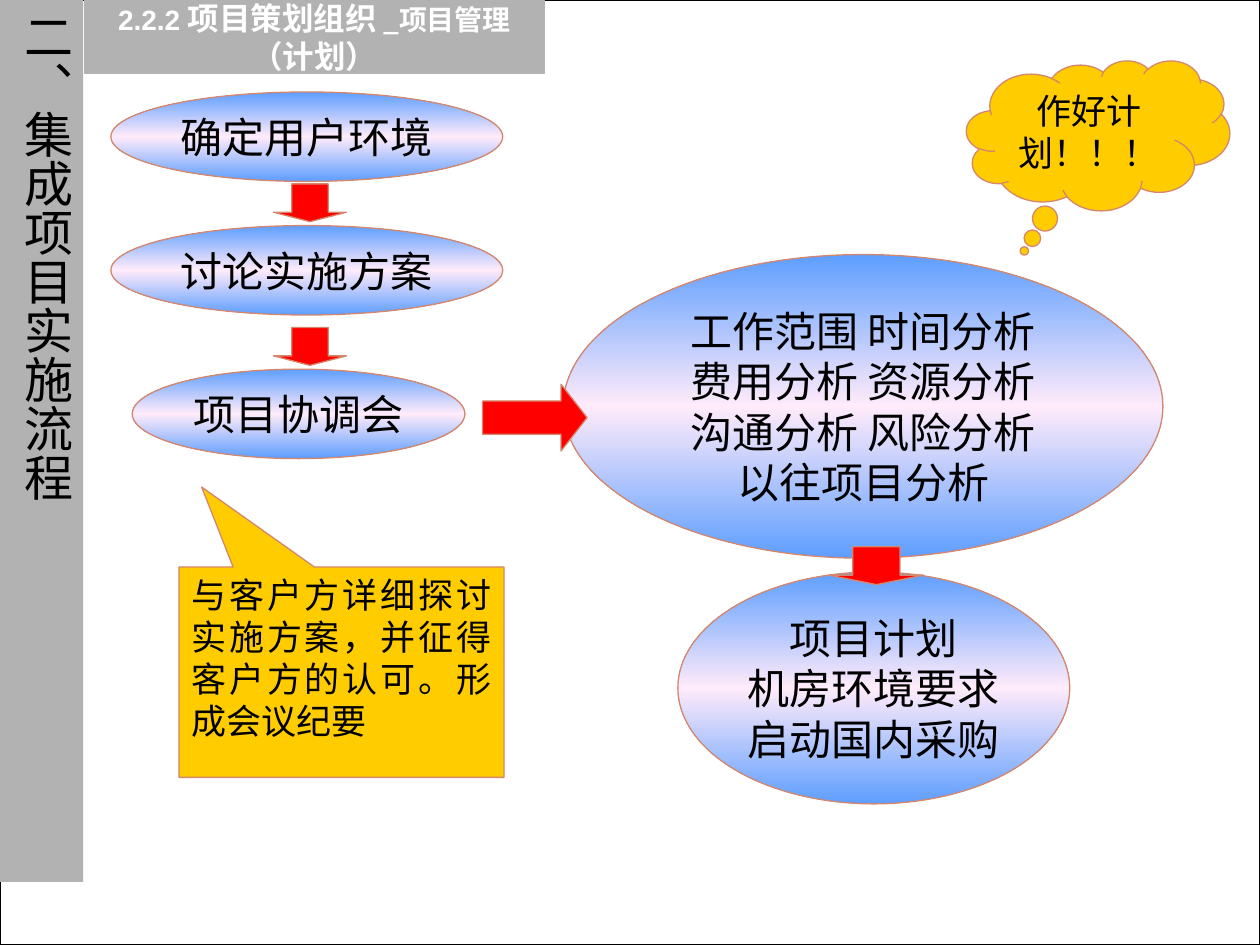
from copy import deepcopy

from pptx import Presentation
from pptx.dml.color import RGBColor
from pptx.enum import shapes, text
from pptx.oxml import ns
from pptx.util import Inches, Pt

WHITE = RGBColor(0xFF, 0xFF, 0xFF)
BLACK = RGBColor(0, 0, 0)
RED = RGBColor(0xFF, 0, 0)
GOLD = RGBColor(0xFF, 0xCC, 0)
GRAY = RGBColor(0xB2, 0xB2, 0xB2)
BLUE = RGBColor(0x5E, 0x9E, 0xFF)
PINK = RGBColor(0xFF, 0xEB, 0xFA)
COPPER = RGBColor(0xD4, 0x87, 0x6C)

SHAPE = shapes.MSO_SHAPE
ALIGN = text.PP_ALIGN
ANCHOR = text.MSO_ANCHOR
CJK = "Noto Sans CJK SC"
NARROW = "Arial Narrow"


def set_attrs(obj, values):
    for name, value in values.items():
        setattr(obj, name, value)


def add_shape(s, kind, box, fill=None, line=COPPER, adj=()):
    sp = s.shapes.add_shape(kind, *map(Inches, box))
    sp.shadow.inherit = False
    for i, value in enumerate(adj):
        sp.adjustments[i] = value
    if fill is not None:
        sp.fill.solid()
        sp.fill.fore_color.rgb = fill
    if line is None:
        sp.line.fill.background()
    else:
        sp.line.color.rgb = line
        sp.line.width = Pt(0.75)
    return sp


def add_run(p, words, size, font, color=BLACK, bold=False):
    r = p.add_run()
    r.text = words
    set_attrs(r.font, {"size": Pt(size), "name": font, "bold": bold})
    r.font.color.rgb = color
    ea = r.font._element.makeelement(ns.qn("a:ea"), {"typeface": CJK})
    r.font._element.find(ns.qn("a:latin")).addnext(ea)


def set_text(sp, lines, align=ALIGN.CENTER, anchor=ANCHOR.MIDDLE,
             wrap=True, inset=(0.1, 0.05)):
    tf = sp.text_frame
    x, y = map(Inches, inset)
    set_attrs(tf, {"word_wrap": wrap, "vertical_anchor": anchor,
                   "margin_left": x, "margin_right": x,
                   "margin_top": y, "margin_bottom": y})
    for i, runs in enumerate(lines):
        p = tf.add_paragraph() if i else tf.paragraphs[0]
        p.alignment = align
        for run in runs:
            add_run(p, *run)


def add_oval(s, box, *lines):
    sp = add_shape(s, SHAPE.OVAL, box)
    sp.fill.gradient()
    sp.fill.gradient_angle = 90
    stop_list = sp._element.xpath(".//a:gsLst")[0]
    stop_list.append(deepcopy(stop_list[0]))
    for stop, color, position in zip(sp.fill.gradient_stops,
                                     (BLUE, PINK, BLUE), (0, 0.5, 1)):
        stop.color.rgb = color
        stop.position = position
    set_text(sp, [[(line, 24, NARROW)] for line in lines], wrap=False)


def add_arrow(s, box, kind=SHAPE.DOWN_ARROW, head=0.25):
    add_shape(s, kind, box, RED, adj=(0.5, head))


def add_callout(s, kind, box, adj, words, font, **layout):
    sp = add_shape(s, kind, box, GOLD, adj=adj)
    set_text(sp, [[(words, 20, font)]], **layout)


def add_side_title(s):
    sp = add_shape(s, SHAPE.RECTANGLE, (0, 0, 0.66, 7), GRAY, None)
    set_text(sp, [[("二、集成项目实施流程", 28, NARROW)]],
             anchor=ANCHOR.TOP, inset=(0.05, 0.1))
    sp.text_frame._txBody.bodyPr.set("vert", "eaVert")


def add_section_title(s):
    sp = add_shape(s, SHAPE.RECTANGLE, (0.67, 0, 3.65, 0.58), GRAY, GRAY)
    style = (WHITE, True)
    set_text(sp, [
        [("2.2.2 ", 16, "Arial", *style), ("项目策划组织", 18, CJK, *style),
         (" _", 16, CJK, *style), ("项目管理", 16, "Arial", *style)],
        [("（计划）", 18, "Arial", *style)],
    ], inset=(0.1, 0.1))
    for p in sp.text_frame.paragraphs:
        p.level = 1
        pPr = p._p.get_or_add_pPr()
        pPr.set("marL", str(Inches(0.5)))
        pPr.set("indent", str(Inches(-0.5)))


def main():
    prs = Presentation()
    prs.slide_width, prs.slide_height = Inches(10), Inches(7.5)
    s = prs.slides.add_slide(prs.slide_layouts[6])

    add_shape(s, SHAPE.RECTANGLE, (0, 0, 10, 7.5), WHITE, BLACK)
    add_oval(s, (0.88, 1.79, 3.11, 0.71), "讨论实施方案")
    add_oval(s, (0.88, 0.73, 3.11, 0.71), "确定用户环境")
    add_oval(s, (1.05, 2.93, 2.64, 0.71), "项目协调会")
    for top in (1.46, 2.6):
        add_arrow(s, (2.17, top, 0.58, 0.3))
    add_oval(s, (4.47, 2.02, 4.76, 2.41), "工作范围 时间分析",
             "费用分析 资源分析", "沟通分析 风险分析", "以往项目分析")
    add_oval(s, (5.38, 4.54, 3.11, 1.84),
             "项目计划", "机房环境要求", "启动国内采购")
    add_arrow(s, (3.83, 3.05, 0.83, 0.53), SHAPE.RIGHT_ARROW, 0.39)
    add_arrow(s, (6.58, 4.34, 0.75, 0.3))

    add_callout(s, SHAPE.RECTANGULAR_CALLOUT, (1.42, 4.5, 2.58, 1.67),
                (-0.43, -0.88),
                "与客户方详细探讨实施方案，并征得客户方的认可。形成会议纪要",
                "Times New Roman", align=ALIGN.JUSTIFY, anchor=ANCHOR.TOP)
    add_callout(s, SHAPE.CLOUD_CALLOUT, (7.67, 0.48, 2.09, 1.19),
                (-0.28, 0.77), "作好计划！！！", NARROW)
    add_side_title(s)
    add_section_title(s)
    prs.save("out.pptx")


if __name__ == "__main__":
    main()
